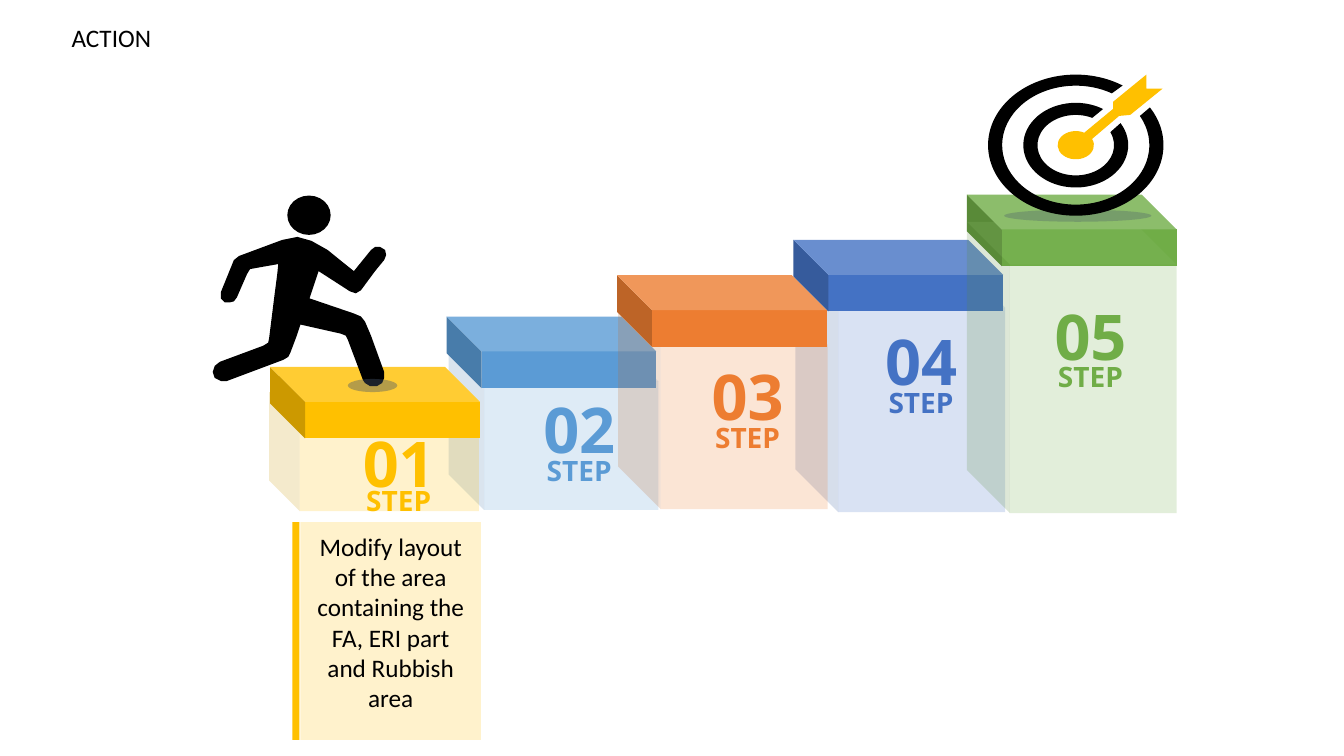
"""Builds the five-step staircase slide with a runner and a target."""
from dataclasses import dataclass
from math import cos, radians, sin, tan

from lxml.etree import SubElement
from pptx import Presentation
from pptx.dml.color import RGBColor
from pptx.enum.shapes import MSO_SHAPE
from pptx.enum.text import MSO_ANCHOR, MSO_AUTO_SIZE, PP_ALIGN
from pptx.oxml.ns import qn
from pptx.util import Inches, Pt


@dataclass(frozen=True)
class Theme:
    """Colours, fonts and type sizes of the slide."""
    black: str = "000000"
    shadow: str = "44546A"
    gold: str = "FFC000"
    sky: str = "5B9BD5"
    orange: str = "ED7D31"
    blue: str = "4472C4"
    green: str = "70AD47"
    text_font: str = "Calibri"
    step_font: str = "Open Sans"
    text_size: int = 18
    number_size: int = 45
    label_size: int = 20
    glass: int = 20


@dataclass(frozen=True)
class Step:
    """One stair: its colour, cap, glass block and lettering position."""
    number: str
    color: str
    cap: tuple
    glass: tuple
    depth: float
    lettering: tuple
    label_gap: float = 0.62


class SlidePainter:
    """Holds the theme and the current slide."""

    def __init__(self, slide, theme):
        """Keeps the slide and its theme."""
        self.slide = slide
        self.theme = theme

    def paint(self, shape, color, opacity=100):
        """Gives a shape a plain fill without line or shadow."""
        shape.shadow.inherit = False
        shape.line.fill.background()
        shape.fill.solid()
        shape.fill.fore_color.rgb = RGBColor.from_string(color)
        if opacity < 100:
            color_node = shape.fill._xPr.find(qn("a:solidFill"))[0]
            SubElement(color_node, qn("a:alpha"), val=str(opacity * 1000))
        return shape

    def preset(self, kind, place, color, opacity=100):
        """Adds a preset shape."""
        shape = self.slide.shapes.add_shape(kind, *map(Inches, place))
        return self.paint(shape, color, opacity)

    def cube(self, place, depth, color, opacity=100):
        """Adds a cube whose side face is on the left."""
        cube = self.preset(MSO_SHAPE.CUBE, place, color, opacity)
        cube.adjustments[0] = depth
        cube._element.spPr.xfrm.set("flipH", "1")

    def outline(self, points, color):
        """Adds a closed filled outline with straight sides."""
        corners = [(Inches(x), Inches(y)) for x, y in points]
        builder = self.slide.shapes.build_freeform(*corners[0])
        builder.add_line_segments(corners[1:], close=True)
        return self.paint(builder.convert_to_shape(), color)

    def curve(self, points, color):
        """Adds a closed outline whose points after the first form cubic triples."""
        shape = self.outline(points, color)
        track = next(shape._element.iter(qn("a:path")))
        lines = track.findall(qn("a:lnTo"))[:len(points) - 1]
        for i in range(0, len(lines), 3):
            bend = SubElement(track, qn("a:cubicBezTo"))
            lines[i].addprevious(bend)
            for line in lines[i:i + 3]:
                bend.append(line[0])
                track.remove(line)

    def format(self, frame, text, font, size, color, bold, align):
        """Sets the text of a frame and formats its runs."""
        frame.text = text
        frame.word_wrap = True
        frame.auto_size = MSO_AUTO_SIZE.NONE
        frame.vertical_anchor = MSO_ANCHOR.TOP
        for para in frame.paragraphs:
            para.alignment = align
            for span in para.runs:
                span.font.name = font
                span.font.size = Pt(size)
                span.font.bold = bold
                span.font.color.rgb = RGBColor.from_string(color)

    def title(self, place, text):
        """Moves and fills the title placeholder."""
        title = self.slide.shapes.title
        title.left, title.top, title.width, title.height = map(Inches, place)
        self.format(title.text_frame, text, self.theme.text_font,
                    self.theme.text_size, self.theme.black, False, PP_ALIGN.LEFT)

    def caption(self, place, text):
        """Adds a centred plain text box."""
        box = self.slide.shapes.add_textbox(*map(Inches, place))
        self.format(box.text_frame, text, self.theme.text_font,
                    self.theme.text_size, self.theme.black, False, PP_ALIGN.CENTER)

    def lettering(self, place, text, size, color):
        """Adds bold centred step lettering."""
        box = self.slide.shapes.add_textbox(*map(Inches, place))
        self.format(box.text_frame, text, self.theme.step_font, size, color,
                    True, PP_ALIGN.CENTER)

    def stair(self, step):
        """Adds the glass block, the cap and the lettering of a stair."""
        self.glass(step)
        self.cap(step)
        self.step_text(step)

    def cap(self, step):
        """Adds the solid top of a stair."""
        self.cube((*step.cap, 2.08, 0.71), 0.488, step.color)

    def glass(self, step):
        """Adds the translucent block of a stair."""
        left, top, height = step.glass
        self.cube((left, top, 2.08, height), step.depth, step.color,
                  self.theme.glass)

    def step_text(self, step):
        """Adds the number and the label of a stair."""
        left, top = step.lettering
        self.lettering((left, top, 1.19, 0.64), step.number,
                       self.theme.number_size, step.color)
        self.lettering((left, top + step.label_gap, 1.19, 0.32), "STEP",
                       self.theme.label_size, step.color)


def arc(center, radii, start, end, count=4):
    """Returns a start point and cubic triples along an elliptic arc."""
    turn = radians(end - start) / count
    pull = 4 / 3 * tan(turn / 4)
    unit = [(1, 0)]
    for i in range(count):
        a, b = i * turn, (i + 1) * turn
        unit += [(cos(a) - pull * sin(a), sin(a) + pull * cos(a)),
                 (cos(b) + pull * sin(b), sin(b) - pull * cos(b)), (cos(b), sin(b))]
    c, s = cos(radians(start)), sin(radians(start))
    return [(center[0] + radii[0] * (x * c - y * s),
             center[1] + radii[1] * (x * s + y * c)) for x, y in unit]


def straight(points):
    """Returns cubic triples that run straight to each point."""
    return [point for point in points for _ in range(3)]


def open_ring(center, outer, inner, outer_gap, inner_gap):
    """Returns a ring with a gap towards the upper right."""
    rim = arc(center, outer, outer_gap - 45, 315 - outer_gap)
    hole = arc(center, inner, 315 - inner_gap, inner_gap - 45)
    return rim + straight(hole[:1]) + hole[1:]


RUNNER = [
    (2.76, 2.62), (2.59, 2.65), (2.48, 2.67), (2.45, 2.72), (2.35, 2.95),
    (2.32, 2.99), (2.28, 3), (2.23, 3), (2.19, 2.96), (2.19, 2.9),
    (2.32, 2.58), (2.37, 2.54), (2.8, 2.38), (2.95, 2.35), (3.09, 2.39),
    (3.25, 2.48), (3.41, 2.61), (3.51, 2.69), (3.68, 2.48), (3.72, 2.45),
    (3.77, 2.45), (3.82, 2.48), (3.83, 2.53), (3.81, 2.58), (3.72, 2.69),
    (3.58, 2.88), (3.53, 2.91), (3.47, 2.89), (3.16, 2.69), (3.07, 2.96),
    (3.51, 3.11), (3.58, 3.14), (3.62, 3.19), (3.68, 3.33), (3.81, 3.69),
    (3.81, 3.75), (3.79, 3.8), (3.74, 3.83), (3.67, 3.83), (3.62, 3.8),
    (3.6, 3.77), (3.45, 3.37), (3.43, 3.33), (3.38, 3.31), (2.98, 3.22),
    (2.94, 3.34), (2.88, 3.5), (2.86, 3.54), (2.81, 3.57), (2.25, 3.78),
    (2.19, 3.78), (2.13, 3.75), (2.11, 3.69), (2.13, 3.63), (2.18, 3.59),
    (2.61, 3.43), (2.66, 3.4), (2.67, 3.35), (2.72, 2.95), (2.75, 2.72)]
DART = [(10.75, 1.32), (11.04, 1.08), (11.04, 1.01), (11.37, 0.74), (11.37, 0.88),
        (11.53, 0.88), (11.21, 1.14), (11.1, 1.15), (10.83, 1.38)]

theme = Theme()
first = Step("01", theme.gold, (2.68, 3.64), (2.67, 3.89, 1.18), 0.256, (3.36, 4.16), 0.59)
second = Step("02", theme.sky, (4.43, 3.14), (4.45, 3.43, 1.63), 0.216, (5.15, 3.83))
third = Step("03", theme.orange, (6.12, 2.73), (6.13, 3, 2.05), 0.206, (6.82, 3.5))
fourth = Step("04", theme.blue, (7.87, 2.38), (7.89, 2.63, 2.45), 0.203, (8.54, 3.15))
fifth = Step("05", theme.green, (9.59, 1.93), (9.59, 2.2, 2.89), 0.205, (10.22, 2.9))

deck = Presentation()
deck.slide_width, deck.slide_height = Inches(13.33), Inches(7.5)
painter = SlidePainter(deck.slides.add_slide(deck.slide_layouts[5]), theme)
painter.title((0.61, 0.17, 3.16, 0.4), "ACTION")
painter.step_text(fifth)
painter.cap(fifth)

bullseye = (10.67, 1.44)
painter.preset(MSO_SHAPE.OVAL, (9.96, 2.08, 1.46, 0.12), theme.shadow, 30)
painter.curve(open_ring(bullseye, (0.87, 0.7), (0.73, 0.59), 12.7, 15.6), theme.black)
painter.curve(open_ring(bullseye, (0.52, 0.42), (0.38, 0.3), 13.6, 19.5), theme.black)
painter.curve(arc(bullseye, (0.18, 0.14), -26, 297) + straight(DART), theme.gold)

for step in (fourth, second, first):
    painter.stair(step)
painter.outline(RUNNER, theme.black)
painter.preset(MSO_SHAPE.OVAL, (2.85, 1.94, 0.43, 0.39), theme.black)
painter.stair(third)
painter.glass(fifth)

painter.preset(MSO_SHAPE.OVAL, (3.45, 3.76, 0.49, 0.13), theme.shadow, 40)
painter.preset(MSO_SHAPE.RECTANGLE, (2.9, 5.18, 0.07, 2.16), theme.gold)
painter.preset(MSO_SHAPE.RECTANGLE, (2.98, 5.18, 1.79, 2.16), theme.gold, theme.glass)
painter.caption((2.98, 5.22, 1.79, 1.92),
                "Modify layout of the area containing the FA, ERI part and Rubbish area")
deck.save("out.pptx")
